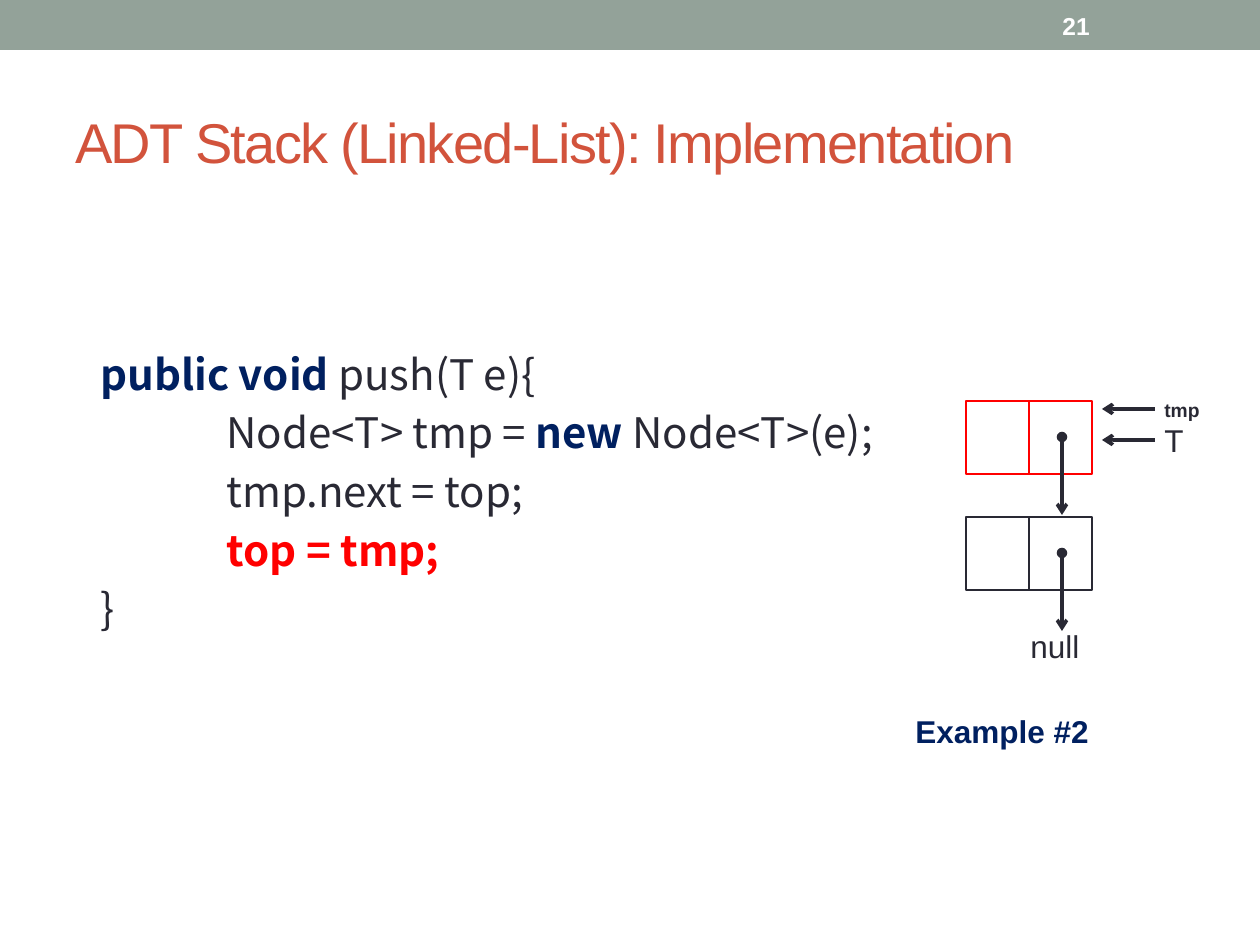
from dataclasses import dataclass

from lxml import etree
from pptx import Presentation
from pptx.dml.color import RGBColor
from pptx.enum.shapes import MSO_CONNECTOR, MSO_SHAPE
from pptx.enum.text import MSO_ANCHOR
from pptx.oxml.ns import qn
from pptx.util import Pt

EMU_PER_PX = 914400 / 126
STRAIGHT = MSO_CONNECTOR.STRAIGHT
RECTANGLE = MSO_SHAPE.RECTANGLE
TOP, MIDDLE = MSO_ANCHOR.TOP, MSO_ANCHOR.MIDDLE
CODE_FONT = "Noto Sans CJK SC"

COLORS = {
    "band": "93A299",
    "title": "D2533C",
    "ink": "292934",
    "keyword": "002060",
    "red": "FF0000",
    "white": "FFFFFF",
}


@dataclass
class Run:
    text: str
    color: str = "ink"
    bold: bool = False


@dataclass
class Line:
    runs: list[Run]
    indent: int = 0


@dataclass
class Node:
    top: int
    color: str


@dataclass
class Reference:
    """A named variable whose arrow points at the top node."""
    name: str
    arrow_y: int
    label_box: tuple[int, int, int, int]
    size: int
    bold: bool


CODE = [
    Line([Run("public void ", "keyword", True), Run("push(T e){")], 25),
    Line([Run("Node<T> tmp = "), Run("new ", "keyword", True), Run("Node<T>(e);")], 151),
    Line([Run("tmp.next = top;")], 151),
    Line([Run("top = tmp;", "red", True)], 151),
    Line([Run("}")], 25),
]
NODE_LEFT, NODE_WIDTH, NODE_HEIGHT = 966, 126, 73
POINTER_X, POINTER_OFFSET, POINTER_LENGTH = 1062, 36, 78
NODES = [Node(517, "ink"), Node(401, "red")]
REFERENCES = [
    Reference("T", 440, (1152, 415, 45, 50), 18, False),
    Reference("tmp", 409, (1152, 392, 63, 37), 11, True),
]


def px(value: int) -> int:
    return round(value * EMU_PER_PX)


def rgb(name: str) -> RGBColor:
    return RGBColor.from_string(COLORS[name])


def add_text(slide, box, text, *, size, font="Arial", color="ink", bold=False,
             anchor=TOP, wrap=True, top_inset=None, line_spacing=None, tracking=None):
    """Add a text box; text is a string or a list of Line."""
    frame = slide.shapes.add_textbox(*map(px, box)).text_frame
    frame.word_wrap = wrap
    frame.vertical_anchor = anchor
    if top_inset is not None:
        frame.margin_top = px(top_inset)
    lines = [Line([Run(text, color, bold)])] if isinstance(text, str) else text
    for index, line in enumerate(lines):
        paragraph = frame.add_paragraph() if index else frame.paragraphs[0]
        if line_spacing:
            paragraph.line_spacing = Pt(line_spacing)
        if line.indent:
            paragraph._p.get_or_add_pPr().set("marL", str(px(line.indent)))
        for part in line.runs:
            run = paragraph.add_run()
            run.text = part.text
            run.font.name = font
            run.font.size = Pt(size)
            run.font.bold = part.bold
            run.font.color.rgb = rgb(part.color)
            properties = run._r.get_or_add_rPr()
            if font == CODE_FONT:
                etree.SubElement(properties, qn("a:ea")).set("typeface", font)
            if tracking:
                properties.set("spc", str(tracking * 100))


def add_rectangle(slide, box, fill: str, line: str | None = None):
    shape = slide.shapes.add_shape(RECTANGLE, *map(px, box))
    shape.shadow.inherit = False
    shape.fill.solid()
    shape.fill.fore_color.rgb = rgb(fill)
    if line:
        shape.line.color.rgb = rgb(line)
        shape.line.width = Pt(1.25)
    else:
        shape.line.fill.background()
    return shape


def add_line(slide, start, end, *, color="ink", width=2.0, head=None, tail=None):
    connector = slide.shapes.add_connector(STRAIGHT, *map(px, start + end))
    connector.line.color.rgb = rgb(color)
    connector.line.width = Pt(width)
    line = connector.line._get_or_add_ln()
    for tag, kind in (("a:headEnd", head), ("a:tailEnd", tail)):
        if kind:
            etree.SubElement(line, qn(tag)).set("type", kind)
    etree.SubElement(connector._element.spPr, qn("a:effectLst"))
    return connector


def add_node(slide, node: Node) -> None:
    """Draw a two-cell list node and its pointer to the next one."""
    cell = add_rectangle(slide, (NODE_LEFT, node.top, NODE_WIDTH, NODE_HEIGHT),
                         "white", node.color)
    middle = NODE_LEFT + NODE_WIDTH // 2
    divider = add_line(slide, (middle, node.top), (middle, node.top + NODE_HEIGHT),
                       color=node.color, width=0.75)
    divider.begin_connect(cell, 0)
    divider.end_connect(cell, 2)
    start = node.top + POINTER_OFFSET
    add_line(slide, (POINTER_X, start), (POINTER_X, start + POINTER_LENGTH),
             head="oval", tail="arrow")


def add_reference(slide, reference: Reference) -> None:
    add_line(slide, (1155, reference.arrow_y), (1102, reference.arrow_y), tail="arrow")
    add_text(slide, reference.label_box, reference.name, size=reference.size,
             bold=reference.bold, wrap=False)


def main() -> None:
    presentation = Presentation()
    presentation.slide_width, presentation.slide_height = px(1260), px(945)
    slide = presentation.slides.add_slide(presentation.slide_layouts[6])

    add_rectangle(slide, (0, 0, 1260, 50), "band")
    add_text(slide, (63, 73, 1134, 136), "ADT Stack (Linked-List): Implementation",
             size=32, color="title", anchor=MIDDLE, tracking=-1)
    add_text(slide, (63, 220, 1134, 672), CODE, size=24, font=CODE_FONT,
             top_inset=120, line_spacing=33.5)
    add_text(slide, (1050, 3, 147, 45), "21", size=14, color="white", bold=True,
             anchor=MIDDLE)
    for node in NODES:
        add_node(slide, node)
    for reference in REFERENCES:
        add_reference(slide, reference)
    add_text(slide, (1018, 621, 83, 50), "null", size=18, wrap=False)
    add_text(slide, (903, 706, 207, 50), "Example #2", size=18, color="keyword",
             bold=True, wrap=False)

    presentation.save("out.pptx")


if __name__ == "__main__":
    main()
